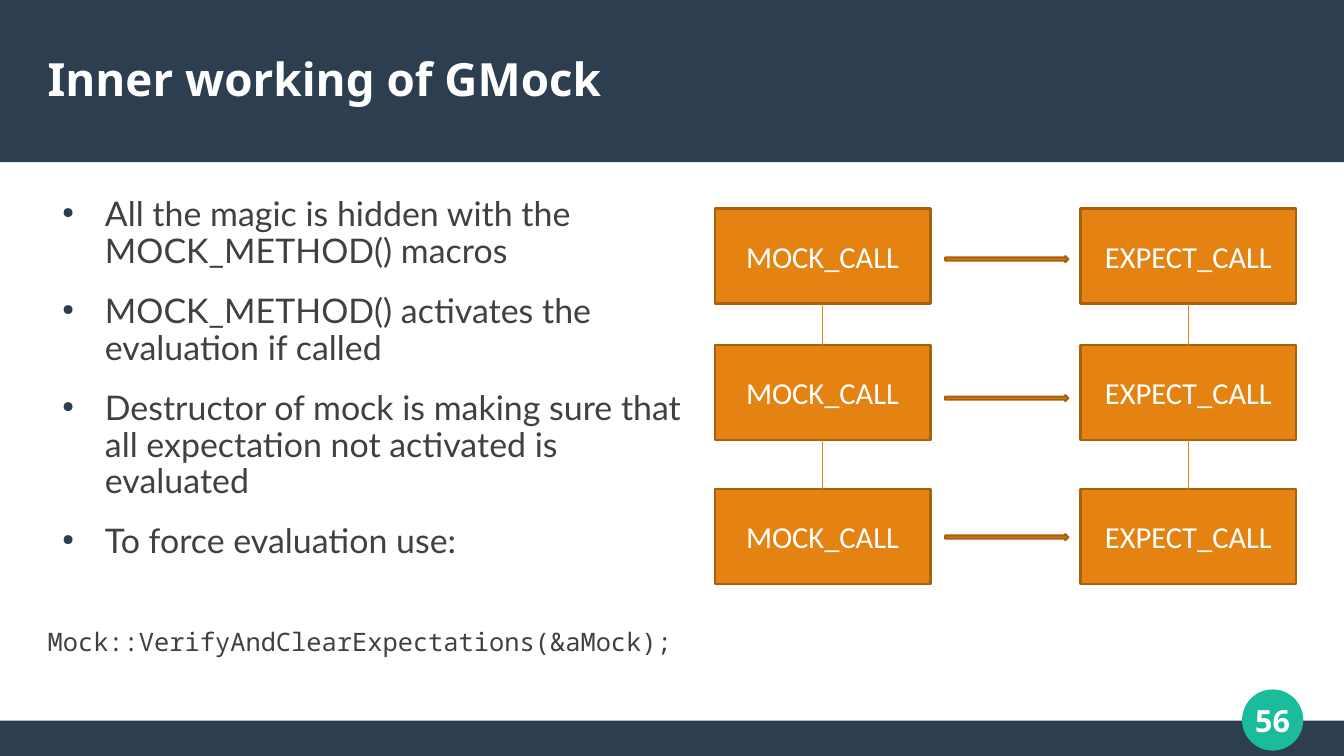
"""Build the slide about the inner working of GMock."""
from lxml.etree import SubElement
from pptx import Presentation
from pptx.dml.color import RGBColor
from pptx.enum.shapes import MSO_CONNECTOR, MSO_SHAPE as Shape
from pptx.enum.text import MSO_ANCHOR as Anchor, MSO_AUTO_SIZE, PP_ALIGN as Align
from pptx.oxml.ns import qn
from pptx.util import Inches, Pt

NAVY, TEAL, WHITE, GREY = "2C3E50", "1ABC9C", "FFFFFF", "404040"
ORANGE, BROWN = "E48312", "A8600D"
WIDTH, HEIGHT = 11.02, 6.2
BOX_WIDTH, BOX_HEIGHT = 1.77, 0.78
BOX_TOPS = (1.71, 2.83, 4.01)
CALL_COLUMNS = {"MOCK_CALL": 5.86, "EXPECT_CALL": 8.86}
POINTS = (
    "All the magic is hidden with the MOCK_METHOD() macros",
    "MOCK_METHOD() activates the evaluation if called",
    "Destructor of mock is making sure that all expectation not activated is evaluated",
    "To force evaluation use:",
)
CODE = "Mock::VerifyAndClearExpectations(&aMock);"


def color(hex_code):
    """Turn a hex string into a colour."""
    return RGBColor.from_string(hex_code)


def format_runs(paragraph, size, font_name, hex_code, bold=False):
    """Set the font of every run in a paragraph."""
    for run in paragraph.runs:
        run.font.size = Pt(size)
        run.font.name = font_name
        run.font.bold = bold
        run.font.color.rgb = color(hex_code)


def set_frame(frame, anchor, wrap=True, side=0, edge=0):
    """Set the anchor, wrapping and insets of a text frame."""
    frame.auto_size = MSO_AUTO_SIZE.NONE
    frame.word_wrap = wrap
    frame.vertical_anchor = anchor
    frame.margin_left = frame.margin_right = Inches(side)
    frame.margin_top = frame.margin_bottom = Inches(edge)


def add_filled(slide, kind, left, top, width, height, fill, line=None, weight=1.25):
    """Add a preset shape with a solid fill and an optional outline."""
    filled = slide.shapes.add_shape(
        kind, Inches(left), Inches(top), Inches(width), Inches(height))
    filled.shadow.inherit = False
    filled.fill.solid()
    filled.fill.fore_color.rgb = color(fill)
    if line:
        filled.line.color.rgb = color(line)
        filled.line.width = Pt(weight)
    else:
        filled.line.fill.background()
    return filled


def add_link(slide, x, top, bottom):
    """Add a thin vertical line between two boxes."""
    link = slide.shapes.add_connector(
        MSO_CONNECTOR.STRAIGHT, Inches(x), Inches(top), Inches(x), Inches(bottom))
    link.line.color.rgb = color(ORANGE)
    link.line.width = Pt(1)
    SubElement(link.element.spPr, qn("a:effectLst"))


def add_label(shape, label, size, font_name, bold=False):
    """Write one centred white line into a shape."""
    paragraph = shape.text_frame.paragraphs[0]
    paragraph.text = label
    paragraph.alignment = Align.CENTER
    format_runs(paragraph, size, font_name, WHITE, bold)


def add_bullet(paragraph):
    """Give a paragraph a small navy bullet and a hanging indent."""
    properties = paragraph._p.get_or_add_pPr()
    properties.set("marL", str(Inches(0.47)))
    properties.set("indent", str(Inches(-0.35)))
    bullet_color = SubElement(properties, qn("a:buClr"))
    SubElement(bullet_color, qn("a:srgbClr"), val=NAVY)
    SubElement(properties, qn("a:buSzPct"), val="45000")
    SubElement(properties, qn("a:buChar"), char="●")


def add_frame_bands(slide):
    """Add the header, the footer and the page number badge."""
    add_filled(slide, Shape.RECTANGLE, 0, 5.91, WIDTH, 0.3, NAVY)
    add_filled(slide, Shape.RECTANGLE, 0, 0, WIDTH, 1.33, NAVY)
    badge = add_filled(slide, Shape.OVAL, 10.19, 5.66, 0.49, 0.49, TEAL, TEAL, 0.85)
    set_frame(badge.text_frame, Anchor.MIDDLE, wrap=False)
    add_label(badge, "56", 18, "Noto Sans", bold=True)


def add_title(slide):
    """Place the title in front of the header band."""
    title = slide.shapes.title
    title.element.getparent().append(title.element)
    title.left, title.top = Inches(0.39), Inches(0.25)
    title.width, title.height = Inches(10.24), Inches(0.79)
    set_frame(title.text_frame, Anchor.MIDDLE)
    title.text_frame.text = "Inner working of GMock"
    heading = title.text_frame.paragraphs[0]
    heading.alignment = Align.LEFT
    format_runs(heading, 27, "Noto Sans", WHITE, bold=True)


def add_explanation(slide):
    """Add the bullet points and the line of code below them."""
    explanation = slide.shapes.add_textbox(
        Inches(0.39), Inches(1.62), Inches(5.38), Inches(4.13)).text_frame
    set_frame(explanation, Anchor.TOP)
    explanation.text = "\n".join((*POINTS, CODE))
    *points, code = explanation.paragraphs
    for paragraph in explanation.paragraphs:
        paragraph.line_spacing = 0.9
        paragraph.space_before = Pt(12)
        paragraph.space_after = Pt(2)
    for point in points:
        add_bullet(point)
        format_runs(point, 20, "Lato", GREY)
    code.space_before = Pt(38)
    format_runs(code, 15, "Noto Sans Mono", GREY)


def add_call_diagram(slide):
    """Add the two linked columns of calls and the arrows between them."""
    for label, left in CALL_COLUMNS.items():
        for top in BOX_TOPS:
            call = add_filled(slide, Shape.RECTANGLE, left, top,
                              BOX_WIDTH, BOX_HEIGHT, ORANGE, BROWN)
            set_frame(call.text_frame, Anchor.MIDDLE, side=0.1, edge=0.05)
            add_label(call, label, 18, "Calibri")
        for upper, lower in zip(BOX_TOPS, BOX_TOPS[1:]):
            add_link(slide, left + BOX_WIDTH / 2, upper + BOX_HEIGHT, lower)
    for row in range(len(BOX_TOPS)):
        add_filled(slide, Shape.RIGHT_ARROW, 7.75, 2.1 + row * 1.14,
                   1.01, 0.05, ORANGE, BROWN)


def main():
    """Build and save the slide."""
    deck = Presentation()
    deck.slide_width, deck.slide_height = Inches(WIDTH), Inches(HEIGHT)
    slide = deck.slides.add_slide(deck.slide_layouts.get_by_name("Title Only"))
    add_frame_bands(slide)
    add_title(slide)
    add_explanation(slide)
    add_call_diagram(slide)
    deck.save("out.pptx")


if __name__ == "__main__":
    main()
